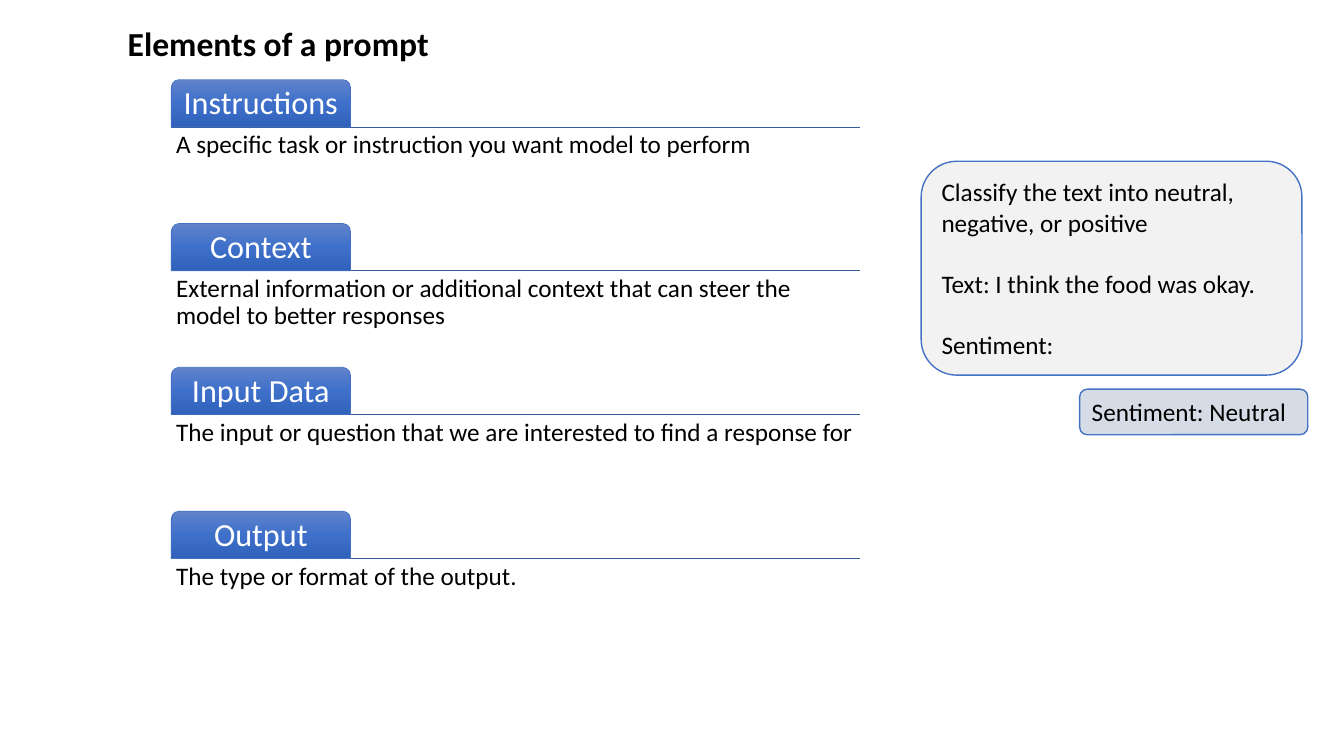
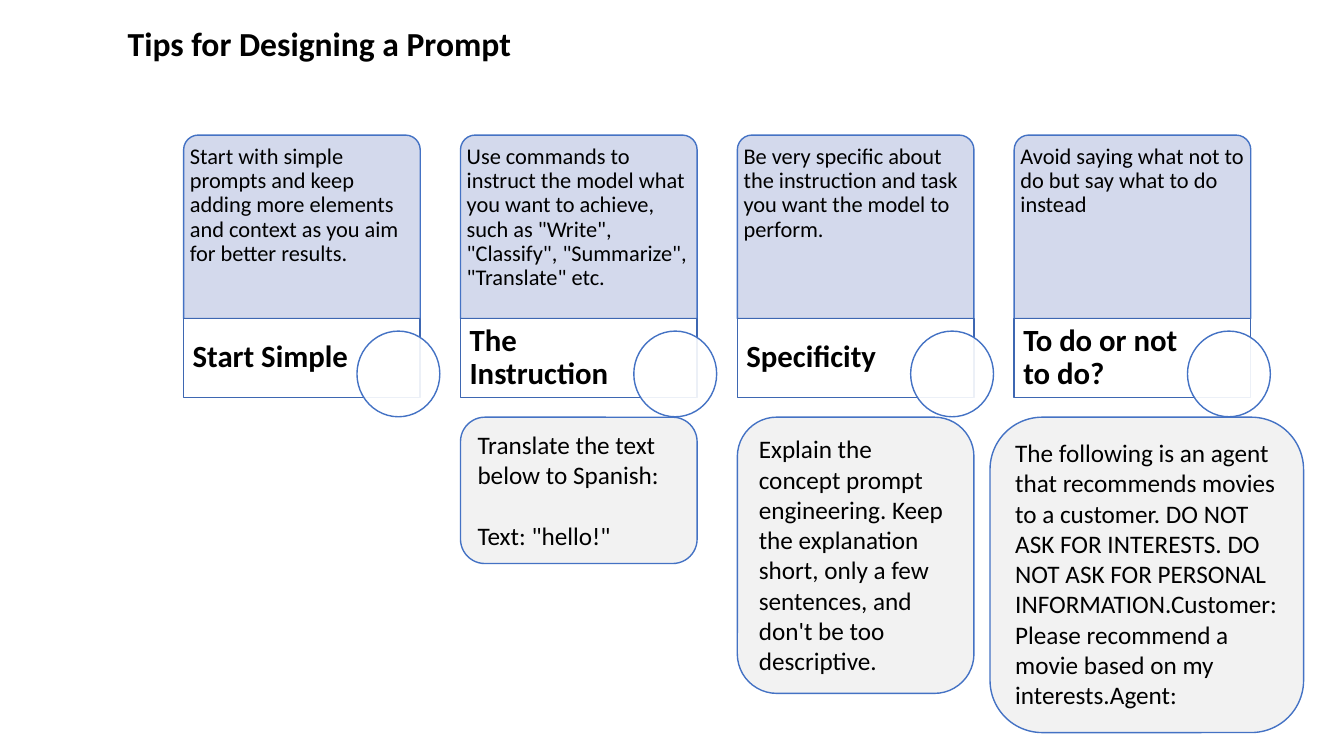
from copy import deepcopy

from lxml import etree
from pptx import Presentation
from pptx.dml.color import RGBColor
from pptx.enum.shapes import MSO_CONNECTOR, MSO_SHAPE
from pptx.enum.text import MSO_ANCHOR, MSO_AUTO_SIZE, PP_ALIGN
from pptx.oxml.ns import qn
from pptx.util import Pt

LEFT, CENTER = PP_ALIGN.LEFT, PP_ALIGN.CENTER
TOP, MIDDLE = MSO_ANCHOR.TOP, MSO_ANCHOR.MIDDLE
NO_AUTOFIT = MSO_AUTO_SIZE.NONE
ROUNDED = MSO_SHAPE.ROUNDED_RECTANGLE
ROUND_TOP = MSO_SHAPE.ROUND_2_SAME_RECTANGLE
RECTANGLE, OVAL = MSO_SHAPE.RECTANGLE, MSO_SHAPE.OVAL
STRAIGHT = MSO_CONNECTOR.STRAIGHT

COLORS = {
    "text": "000000",
    "white": "FFFFFF",
    "outline": "4472C4",
    "rule": "365B9D",
    "label_outline": "3E67B2",
    "card": "CFD5EA",
    "prompt": "F2F2F2",
    "answer": "D6DCE5",
}
TAB_GRADIENT = ["6183CB", "3E70CA", "3062BB"]

STYLES = {
    "title": {"font": {"size": Pt(24), "bold": True}, "insets": (7.2, 3.6, 7.2, 3.6)},
    "tab": {"font": {"size": Pt(23)}, "color": "white", "insets": (3.5, 3.5, 3.5, 3.5),
            "paragraph": {"alignment": CENTER, "line_spacing": 0.9}, "anchor": MIDDLE},
    "description": {"font": {"size": Pt(18)}, "insets": (3.4, 3.4, 3.4, 3.4),
                    "paragraph": {"line_spacing": 0.9}},
    "card": {"font": {"size": Pt(16)}, "insets": (1.4, 4.2, 1.4, 1.4),
             "paragraph": {"line_spacing": 0.9}},
    "label": {"font": {"size": Pt(22), "bold": True}, "insets": (6.5, 0, 49, 0),
              "paragraph": {"line_spacing": 0.9}, "anchor": MIDDLE},
    "example": {"font": {"size": Pt(18)}, "insets": (7.2, 3.6, 5, 3.6), "gap": 22},
}


def write(shape, style_name, lines):
    style = STYLES[style_name]
    frame = shape.text_frame
    left, top, right, bottom = (Pt(inset) for inset in style["insets"])
    frame_format = {
        "word_wrap": True, "auto_size": NO_AUTOFIT,
        "vertical_anchor": style.get("anchor", TOP),
        "margin_left": left, "margin_top": top,
        "margin_right": right, "margin_bottom": bottom,
    }
    for name, value in frame_format.items():
        setattr(frame, name, value)
    for index, line in enumerate(lines):
        paragraph = frame.add_paragraph() if index else frame.paragraphs[0]
        run = paragraph.add_run()
        run.text = line
        for name, value in {"alignment": LEFT, **style.get("paragraph", {})}.items():
            setattr(paragraph, name, value)
        if index:
            paragraph.space_before = Pt(style["gap"])
        for name, value in {"name": "Calibri", **style["font"]}.items():
            setattr(run.font, name, value)
        run.font.color.rgb = RGBColor.from_string(COLORS[style.get("color", "text")])


def add_box(slide, kind, box, fill, outline="outline", weight=1, opacity=100):
    shape = slide.shapes.add_shape(kind, *(Pt(length) for length in box))
    shape.shadow.inherit = False
    shape.fill.solid()
    shape.fill.fore_color.rgb = RGBColor.from_string(COLORS[fill])
    shape.line.color.rgb = RGBColor.from_string(COLORS[outline])
    shape.line.width = Pt(weight)
    if opacity < 100:
        fill_color = shape._element.spPr.find(qn("a:solidFill"))[0]
        etree.SubElement(fill_color, qn("a:alpha"), val=str(opacity * 1000))
    return shape


prs = Presentation()
prs.slide_width, prs.slide_height = Pt(960), Pt(540)
title_only = prs.slide_layouts[5]
title_box = {"left": Pt(84), "top": Pt(13), "width": Pt(600), "height": Pt(36)}
for name, value in title_box.items():
    setattr(title_only.placeholders[0], name, value)

slides = []
for heading in ["Elements of a prompt", "Tips for Designing a Prompt"]:
    slide = prs.slides.add_slide(title_only)
    write(slide.shapes.title, "title", [heading])
    slides.append(slide)
elements_slide, tips_slide = slides

elements = [
    ("Instructions", "A specific task or instruction you want model to perform"),
    ("Context", "External information or additional context that can steer the model "
                "to better responses"),
    ("Input Data", "The input or question that we are interested to find a response for"),
    ("Output", "The type or format of the output."),
]
element_left, element_width = 122.4, 491.8
tab_width, tab_height = 128, 33.8
for row, (element, description) in enumerate(elements):
    tab_top = 56.9 + row * 102.75
    rule_y = tab_top + tab_height
    rule = elements_slide.shapes.add_connector(
        STRAIGHT, Pt(element_left), Pt(rule_y), Pt(element_left + element_width), Pt(rule_y))
    rule.line.color.rgb = RGBColor.from_string(COLORS["rule"])
    rule.line.width = Pt(0.5)
    etree.SubElement(rule._element.spPr, qn("a:effectLst"))

    tab = add_box(elements_slide, ROUND_TOP, (element_left, tab_top, tab_width, tab_height),
                  "white", weight=0.5)
    tab.fill.gradient()
    tab.fill.gradient_angle = 270
    stops = tab._element.spPr.find(".//" + qn("a:gsLst"))
    stops.insert(1, deepcopy(stops[0]))
    stops[1].set("pos", "50000")
    for stop, shade in zip(tab.fill.gradient_stops, TAB_GRADIENT):
        stop.color.rgb = RGBColor.from_string(shade)
    write(tab, "tab", [element])

    explanation = elements_slide.shapes.add_textbox(
        Pt(element_left), Pt(rule_y), Pt(element_width), Pt(67.7))
    write(explanation, "description", [description])

tips = [
    ("Start Simple", "Start with simple prompts and keep adding more elements and context "
                     "as you aim for better results."),
    ("The Instruction", "Use commands to instruct the model what you want to achieve, such as "
                        '"Write", "Classify", "Summarize", "Translate" etc.'),
    ("Specificity", "Be very specific about the instruction and task you want the model "
                    "to perform."),
    ("To do or not to do?", "Avoid saying what not to do but say what to do instead"),
]
card_left, card_pitch, card_width = 131.2, 197.75, 169
card_top, card_height, label_height = 96.5, 131, 56.3
label_top = card_top + card_height
for column, (tip, advice) in enumerate(tips):
    left = card_left + column * card_pitch
    card = add_box(tips_slide, ROUND_TOP, (left, card_top, card_width, card_height),
                   "card", opacity=90)
    card.adjustments[0] = 0.08
    write(card, "card", [advice])
    label = add_box(tips_slide, RECTANGLE, (left, label_top, card_width, label_height),
                    "white", "label_outline")
    write(label, "label", [tip])
    add_box(tips_slide, OVAL, (left + 123.8, label_top + 9, 59.2, 61.2), "white", opacity=90)

example_top = 298
examples = [
    (elements_slide, (658, 115.2, 272, 152.8), "prompt",
     ["Classify the text into neutral, negative, or positive",
      "Text: I think the food was okay.", "Sentiment:"]),
    (elements_slide, (771.2, 278, 163, 32.5), "answer", ["Sentiment: Neutral"]),
    (tips_slide, (card_left + card_pitch, example_top, card_width, 104.5), "prompt",
     ["Translate the text below to Spanish:", 'Text: "hello!"']),
    (tips_slide, (card_left + 2 * card_pitch, example_top, card_width, 197.3), "prompt",
     ["Explain the concept prompt engineering. Keep the explanation short, only a few "
      "sentences, and don't be too descriptive."]),
    (tips_slide, (707.2, example_top, 224, 225.3), "prompt",
     ["The following is an agent that recommends movies to a customer. DO NOT ASK FOR "
      "INTERESTS. DO NOT ASK FOR PERSONAL INFORMATION.Customer: Please recommend a movie "
      "based on my interests.Agent:"]),
]
for slide, box, fill, lines in examples:
    write(add_box(slide, ROUNDED, box, fill), "example", lines)

prs.save("out.pptx")
